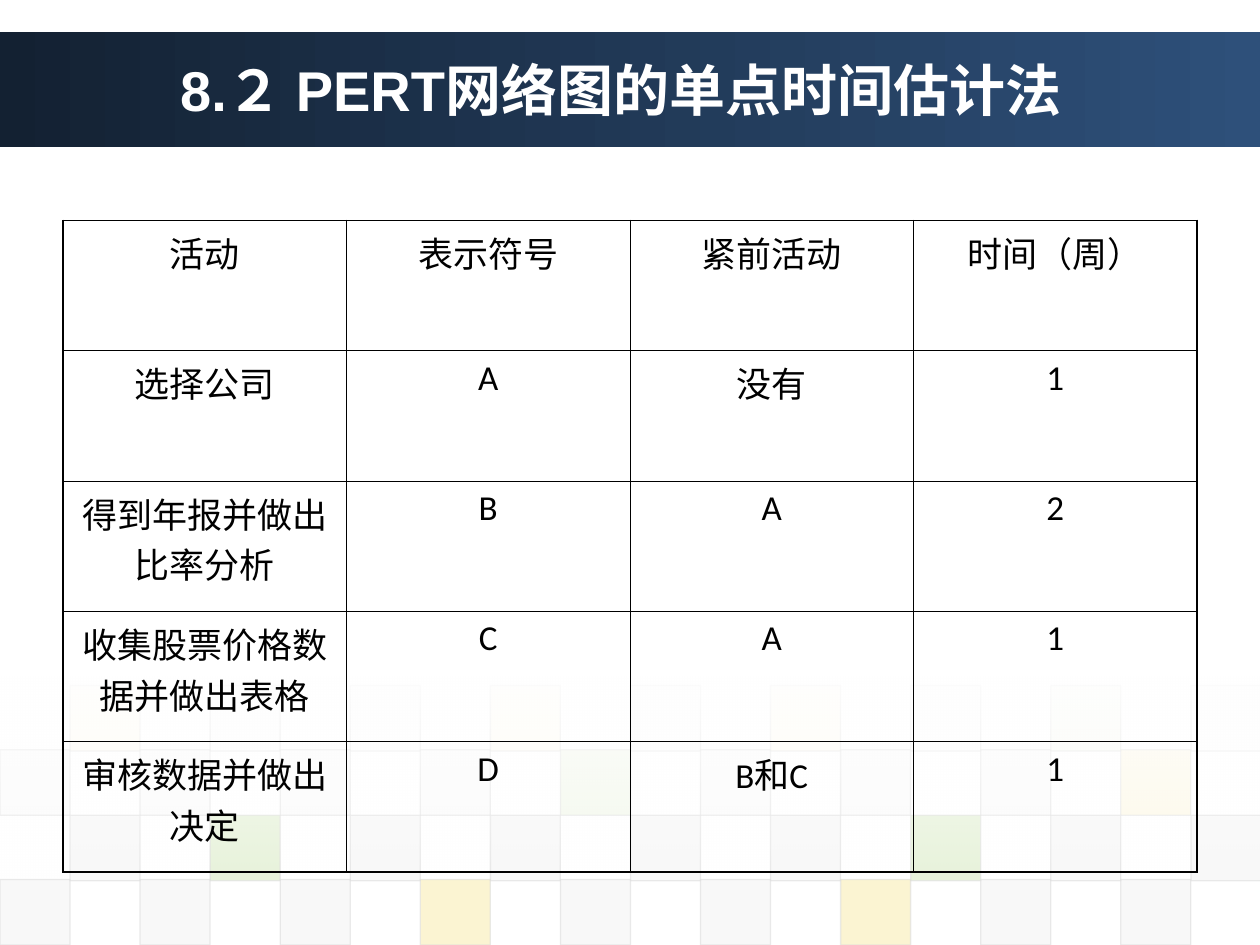
from lxml.etree import SubElement
from pptx import Presentation
from pptx.dml.color import RGBColor
from pptx.enum.shapes import MSO_SHAPE
from pptx.enum.text import MSO_ANCHOR, MSO_AUTO_SIZE, PP_ALIGN
from pptx.oxml.ns import qn
from pptx.util import Inches, Pt

COLORS = {
    "navy": "132132", "blue": "2E507A", "white": "FFFFFF", "black": "000000",
    "D": "DDDDDD", "E": "EAEAEA", "G": "8AC246", "Y": "EFC821",
}


def paint(color_format, name, opacity=100):
    """Set a colour and, below 100 percent, its opacity."""
    color_format.rgb = RGBColor.from_string(COLORS[name])
    if opacity < 100:
        for clr in color_format._xFill.iter(qn("a:srgbClr")):
            SubElement(clr, qn("a:alpha")).set("val", str(opacity * 1000))


def add_rect(left, top, width, height):
    sp = s.shapes.add_shape(MSO_SHAPE.RECTANGLE, Inches(left), Inches(top),
                            Inches(width), Inches(height))
    sp.shadow.inherit = False
    sp.line.fill.background()
    return sp


prs = Presentation()
prs.slide_width, prs.slide_height = Inches(10), Inches(7.5)
s = prs.slides.add_slide(prs.slide_layouts[5])

# Title band
band = add_rect(0, 0.25, 10, 0.92)
band.fill.gradient()
band.fill.gradient_angle = 0
for stop, name in zip(band.fill.gradient_stops, ("navy", "blue")):
    paint(stop.color, name)

# Checkerboard: top, first column, opacity, tile colours
TILE = 0.556
tile_rows = [
    (5.44, 1, 5, "YEEYDYEGE"),
    (5.95, 0, 10, "DDDDGDDDY"),
    (6.47, 1, 20, "DGDDDDGDD"),
    (6.98, 0, 20, "DDDYDDYDD"),
]
for top, first, opacity, names in tile_rows:
    for i, name in enumerate(names):
        tile = add_rect((first + 2 * i) * TILE, top, TILE, 0.52)
        tile.fill.solid()
        paint(tile.fill.fore_color, name)
        tile.line.fill.solid()
        paint(tile.line.color, "D")
        tile.line.width = Pt(0.75)
        fill_clr, line_clr = tile._element.spPr.iter(qn("a:srgbClr"))
        for clr, percent in ((fill_clr, opacity), (line_clr, 60)):
            SubElement(clr, qn("a:alpha")).set("val", str(percent * 1000))

# White fade over the tiles
fade = add_rect(0, 5.37, 10, 1.62)
fade.fill.gradient()
fade.fill.gradient_angle = 270
for stop in fade.fill.gradient_stops:
    paint(stop.color, "white")
for clr, percent in zip(fade._element.spPr.iter(qn("a:srgbClr")), (90, 0)):
    SubElement(clr, qn("a:alpha")).set("val", str(percent * 1000))

# Title, brought in front of the band
title = s.shapes.title
title.left, title.top = Inches(1.33), Inches(0.25)
title.width, title.height = Inches(8.08), Inches(0.92)
s.shapes._spTree.append(title._element)
tf = title.text_frame
tf.word_wrap = True
tf.auto_size = MSO_AUTO_SIZE.NONE
tf.vertical_anchor = MSO_ANCHOR.MIDDLE
p = tf.paragraphs[0]
p.alignment = PP_ALIGN.LEFT
r = p.add_run()
r.text = "8.２ PERT网络图的单点时间估计法"
r.font.name, r.font.size, r.font.bold = "Arial", Pt(32), True
paint(r.font.color, "white")

# Activity table
rows = [
    ("活动", "表示符号", "紧前活动", "时间（周）"),
    ("选择公司", "A", "没有", "1"),
    ("得到年报并做出比率分析", "B", "A", "2"),
    ("收集股票价格数据并做出表格", "C", "A", "1"),
    ("审核数据并做出决定", "D", "B和C", "1"),
]
last_row, last_col = len(rows) - 1, len(rows[0]) - 1
table = s.shapes.add_table(len(rows), len(rows[0]), Inches(0.5), Inches(1.75),
                           Inches(9), Inches(5.17)).table
table.first_row = table.horz_banding = False

for i, row in enumerate(rows):
    for j, text in enumerate(row):
        cell = table.cell(i, j)
        p = cell.text_frame.paragraphs[0]
        p.alignment = PP_ALIGN.CENTER
        p.space_before = Pt(5)
        r = p.add_run()
        r.text = text
        r.font.name, r.font.size = "Calibri", Pt(20)
        paint(r.font.color, "black")

        # Thin inner borders, thicker outer ones
        tcPr = cell._tc.get_or_add_tcPr()
        outer = {"L": j == 0, "R": j == last_col, "T": i == 0, "B": i == last_row}
        for side, is_outer in outer.items():
            ln = SubElement(tcPr, qn(f"a:ln{side}"))
            ln.set("w", str(Pt(1.08 if is_outer else 0.45)))
            clr = SubElement(SubElement(ln, qn("a:solidFill")), qn("a:srgbClr"))
            clr.set("val", COLORS["black"])
        cell.fill.background()

prs.save("out.pptx")
